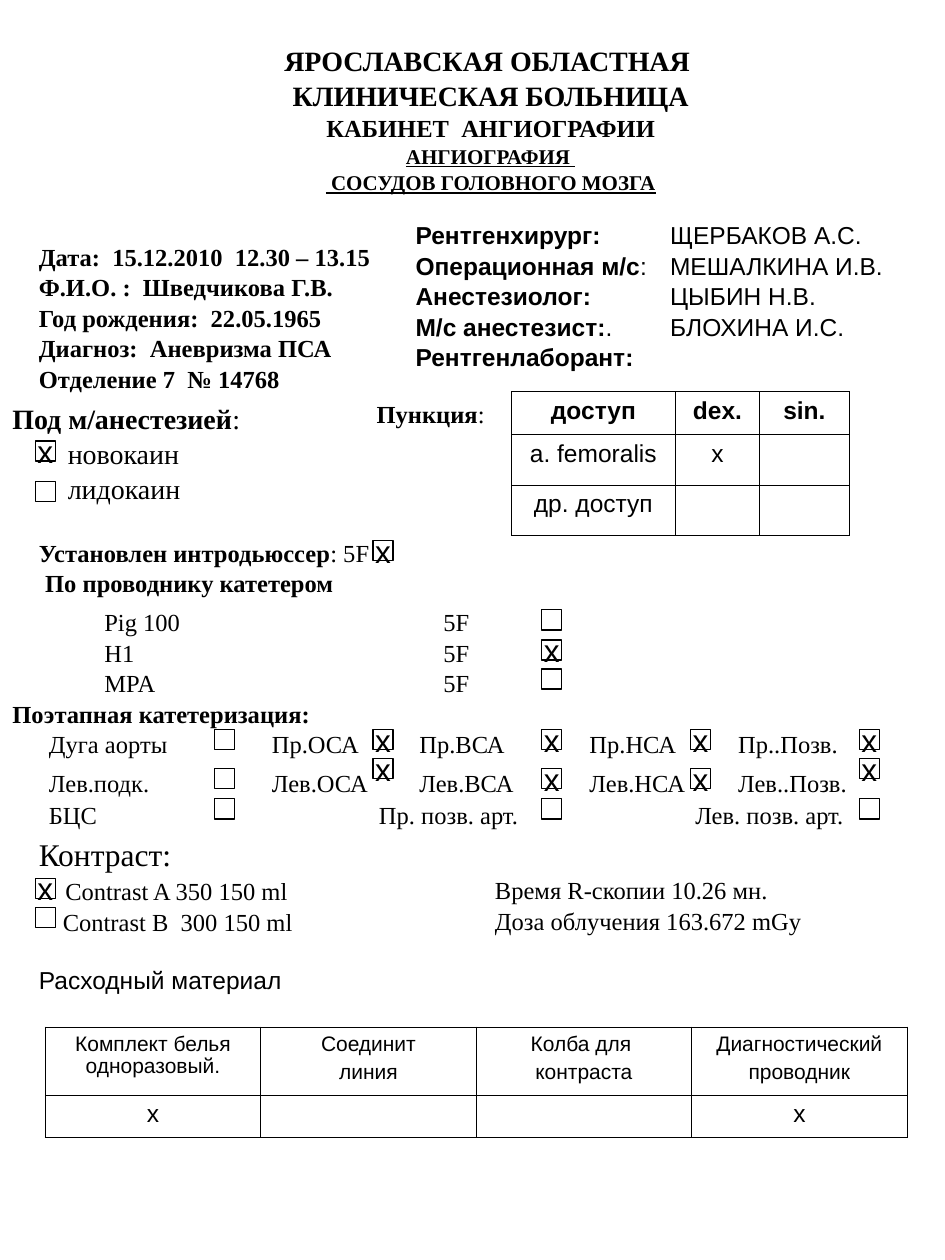
"""Build a one-page angiography record form with checkboxes and two tables."""
from dataclasses import dataclass

from lxml import etree
from pptx import Presentation
from pptx.dml.color import RGBColor
from pptx.enum.shapes import MSO_SHAPE
from pptx.enum.text import MSO_ANCHOR, MSO_AUTO_SIZE, PP_ALIGN
from pptx.oxml.ns import qn
from pptx.util import Inches, Pt

BLACK = RGBColor(0, 0, 0)
SERIF, SANS = "Times New Roman", "Arial"
LEFT, CENTER = PP_ALIGN.LEFT, PP_ALIGN.CENTER
TOP, MIDDLE = MSO_ANCHOR.TOP, MSO_ANCHOR.MIDDLE
RECTANGLE = MSO_SHAPE.RECTANGLE
NO_AUTOFIT = MSO_AUTO_SIZE.NONE
BOX_SIZE = 0.16
MARK = "х"


@dataclass(frozen=True)
class Line:
    bold: str = ""
    plain: str = ""
    size: float = 14
    underline: bool = False
    indent: float = 0
    before: float = 0
    tabs: tuple[float, ...] = ()


@dataclass(frozen=True)
class Block:
    left: float
    top: float
    width: float
    height: float
    lines: tuple[Line, ...]
    font: str = SERIF


@dataclass(frozen=True)
class Grid:
    left: float
    top: float
    widths: tuple[float, ...]
    heights: tuple[float, ...]
    rows: tuple[tuple[tuple[Line, ...], ...], ...]
    spacing: float


@dataclass(frozen=True)
class CheckBox:
    left: float
    top: float
    checked: bool = False


STAFF_TABS = (2.02,)
CATHETER_TABS = (0.73, 3.42)
VESSEL_TABS = (0.29, 2.06, 3.23, 4.58, 5.76)
BRANCH_TABS = (0.29, 2.91, 5.42)

HEADING = (
    Line("ЯРОСЛАВСКАЯ ОБЛАСТНАЯ ", size=16),
    Line("КЛИНИЧЕСКАЯ БОЛЬНИЦА", size=16),
    Line("КАБИНЕТ  АНГИОГРАФИИ"),
    Line("АНГИОГРАФИЯ ", size=12, underline=True),
    Line(" СОСУДОВ ГОЛОВНОГО МОЗГА", size=12, underline=True),
)

BLOCKS = (
    Block(0.21, 1.86, 3.1, 1.27, (
        Line("Дата:  15.12.2010  12.30 – 13.15"),
        Line("Ф.И.О. :  Шведчикова Г.В."),
        Line("Год рождения:  22.05.1965"),
        Line("Диагноз:  Аневризма ПСА"),
        Line("Отделение 7  № 14768"),
    )),
    Block(3.2, 1.69, 4.07, 1.27, (
        Line("Рентгенхирург:", "\tЩЕРБАКОВ А.С.", tabs=STAFF_TABS),
        Line("Операционная м/с", ":\tМЕШАЛКИНА И.В.", tabs=STAFF_TABS),
        Line("Анестезиолог:", "\tЦЫБИН Н.В.", tabs=STAFF_TABS),
        Line("М/с анестезист:", ".\tБЛОХИНА И.С.", tabs=STAFF_TABS),
        Line("Рентгенлаборант:"),
    ), SANS),
    Block(0, 3.13, 2.8, 0.9, (
        Line("Под м/анестезией", ":", size=16),
        Line(plain="новокаин", size=16, indent=0.44),
        Line(plain="лидокаин", size=16, indent=0.44),
    )),
    Block(2.89, 3.11, 1.15, 0.34, (Line("Пункция", ":"),)),
    Block(0.21, 4.21, 6.32, 0.57, (
        Line("Установлен интродьюcсер", ": 5F"),
        Line("По проводнику катетером", indent=0.05),
    )),
    Block(0.21, 6.57, 3.72, 1.14, (
        Line(plain="Контраст:", size=18),
        Line(plain="Contrast A 350 150 ml", indent=0.21, before=1),
        Line(plain="Contrast B  300 150 ml", indent=0.19),
    )),
    Block(0.21, 7.6, 6.46, 0.34, (Line(plain="Расходный материал"),), SANS),
    Block(3.83, 6.89, 3.12, 0.57, (
        Line(plain="Время R-скопии 10.26 мн."),
        Line(plain="Доза облучения 163.672 mGy"),
    )),
    Block(0, 4.76, 7.5, 2.04, (
        Line(plain="\tPig 100\t5F", tabs=CATHETER_TABS),
        Line(plain="\tH1\t5F", tabs=CATHETER_TABS),
        Line(plain="\tMPA\t5F", tabs=CATHETER_TABS),
        Line("Поэтапная катетеризация:"),
        Line(plain="\tДуга аорты\tПр.ОСА\tПр.ВСА\tПр.НСА\tПр..Позв.", tabs=VESSEL_TABS),
        Line(plain="\tЛев.подк.\tЛев.ОСА\tЛев.ВСА\tЛев.НСА\tЛев..Позв.",
             before=4.5, tabs=VESSEL_TABS),
        Line(plain="\tБЦС\tПр. позв. арт.\tЛев. позв. арт.", before=1, tabs=BRANCH_TABS),
    )),
)

CHECKBOXES = (
    CheckBox(0.28, 3.5, True), CheckBox(0.28, 3.82), CheckBox(2.96, 4.29, True),
    CheckBox(4.3, 4.84), CheckBox(4.3, 5.08, True), CheckBox(4.3, 5.31),
    CheckBox(1.7, 5.79),
    *(CheckBox(left, 5.79, True) for left in (2.96, 4.3, 5.48, 6.82)),
    CheckBox(1.7, 6.1), CheckBox(2.96, 6.02, True), CheckBox(4.3, 6.1, True),
    CheckBox(5.48, 6.1, True), CheckBox(6.82, 6.02, True),
    *(CheckBox(left, 6.34) for left in (1.7, 4.3, 6.82)),
    CheckBox(0.28, 6.97, True), CheckBox(0.28, 7.2),
)

MARKED = (Line(plain=MARK),)
ACCESS = Grid(4.06, 3.11, (1.3, 0.67, 0.71), (0.34, 0.4, 0.4), (
    ((Line("доступ"),), (Line("dex."),), (Line("sin."),)),
    ((Line(plain="a. femoralis"),), MARKED, ()),
    ((Line(plain="др. доступ"),), (), ()),
), 3.5)

SUPPLY_NAMES = (("Комплект белья одноразовый.",), ("Соединит", "линия"),
                ("Колба для ", "контраста"), ("Диагностический", "проводник"))
SUPPLIES = Grid(0.36, 8.15, (1.71,) * 4, (0.54, 0.34), (
    tuple(tuple(Line(plain=name, size=12) for name in names) for names in SUPPLY_NAMES),
    (MARKED, (), (), MARKED),
), 3)


def write(frame, lines: tuple[Line, ...], *, font: str = SERIF, align=LEFT,
          spacing: float = 1.04, before: float = 0) -> None:
    for number, line in enumerate(lines):
        paragraph = frame.add_paragraph() if number else frame.paragraphs[0]
        paragraph.alignment = align
        paragraph.line_spacing = spacing
        paragraph.space_before = Pt(line.before + before)
        properties = paragraph._p.get_or_add_pPr()
        if line.indent:
            properties.set("marL", str(Inches(line.indent)))
            properties.set("indent", "0")
        if line.tabs:
            stops = etree.SubElement(properties, qn("a:tabLst"))
            for stop in line.tabs:
                etree.SubElement(stops, qn("a:tab"), pos=str(Inches(stop)), algn="l")
        for text, bold in ((line.bold, True), (line.plain, False)):
            if text:
                run = paragraph.add_run()
                run.text = text
                run.font.name, run.font.size = font, Pt(line.size)
                run.font.bold, run.font.underline = bold, line.underline
                run.font.color.rgb = BLACK


def draw_heading(title) -> None:
    title.left, title.top = Inches(0.52), Inches(0.2)
    title.width, title.height = Inches(6.75), Inches(1.48)
    frame = title.text_frame
    frame.auto_size, frame.vertical_anchor = NO_AUTOFIT, MIDDLE
    write(frame, HEADING, align=CENTER)


def draw_block(slide, block: Block) -> None:
    area = map(Inches, (block.left, block.top, block.width, block.height))
    frame = slide.shapes.add_textbox(*area).text_frame
    frame.word_wrap, frame.vertical_anchor = True, TOP
    write(frame, block.lines, font=block.font)


def draw_checkbox(slide, box: CheckBox) -> None:
    area = map(Inches, (box.left, box.top, BOX_SIZE, BOX_SIZE))
    square = slide.shapes.add_shape(RECTANGLE, *area)
    square.shadow.inherit = False
    square.fill.background()
    square.line.color.rgb, square.line.width = BLACK, Pt(0.75)
    if box.checked:
        frame = square.text_frame
        frame.word_wrap, frame.vertical_anchor = False, MIDDLE
        write(frame, (Line(plain=MARK, size=18),), font=SANS, align=CENTER, spacing=1)


def draw_borders(cell) -> None:
    properties = cell._tc.get_or_add_tcPr()
    for side in ("lnL", "lnR", "lnT", "lnB"):
        border = etree.SubElement(properties, qn(f"a:{side}"), w=str(Pt(0.45)))
        fill = etree.SubElement(border, qn("a:solidFill"))
        etree.SubElement(fill, qn("a:srgbClr"), val=str(BLACK))


def draw_grid(slide, grid: Grid) -> None:
    area = map(Inches, (grid.left, grid.top, sum(grid.widths), sum(grid.heights)))
    table = slide.shapes.add_table(len(grid.heights), len(grid.widths), *area).table
    table.first_row = table.horz_banding = False
    for column, width in zip(table.columns, grid.widths):
        column.width = Inches(width)
    for row, height, contents in zip(table.rows, grid.heights, grid.rows):
        row.height = Inches(height)
        for cell, lines in zip(row.cells, contents):
            draw_borders(cell)
            cell.fill.background()
            write(cell.text_frame, lines, font=SANS, align=CENTER, spacing=0.96,
                  before=grid.spacing)
            if not lines:
                etree.SubElement(cell.text_frame.paragraphs[0]._p,
                                 qn("a:endParaRPr"), sz="1400")


def main() -> None:
    deck = Presentation()
    deck.slide_width, deck.slide_height = Inches(7.5), Inches(10)
    slide = deck.slides.add_slide(deck.slide_layouts[5])
    draw_heading(slide.shapes.title)
    for block in BLOCKS:
        draw_block(slide, block)
    for grid in (ACCESS, SUPPLIES):
        draw_grid(slide, grid)
    for box in CHECKBOXES:
        draw_checkbox(slide, box)
    deck.save("out.pptx")


if __name__ == "__main__":
    main()
